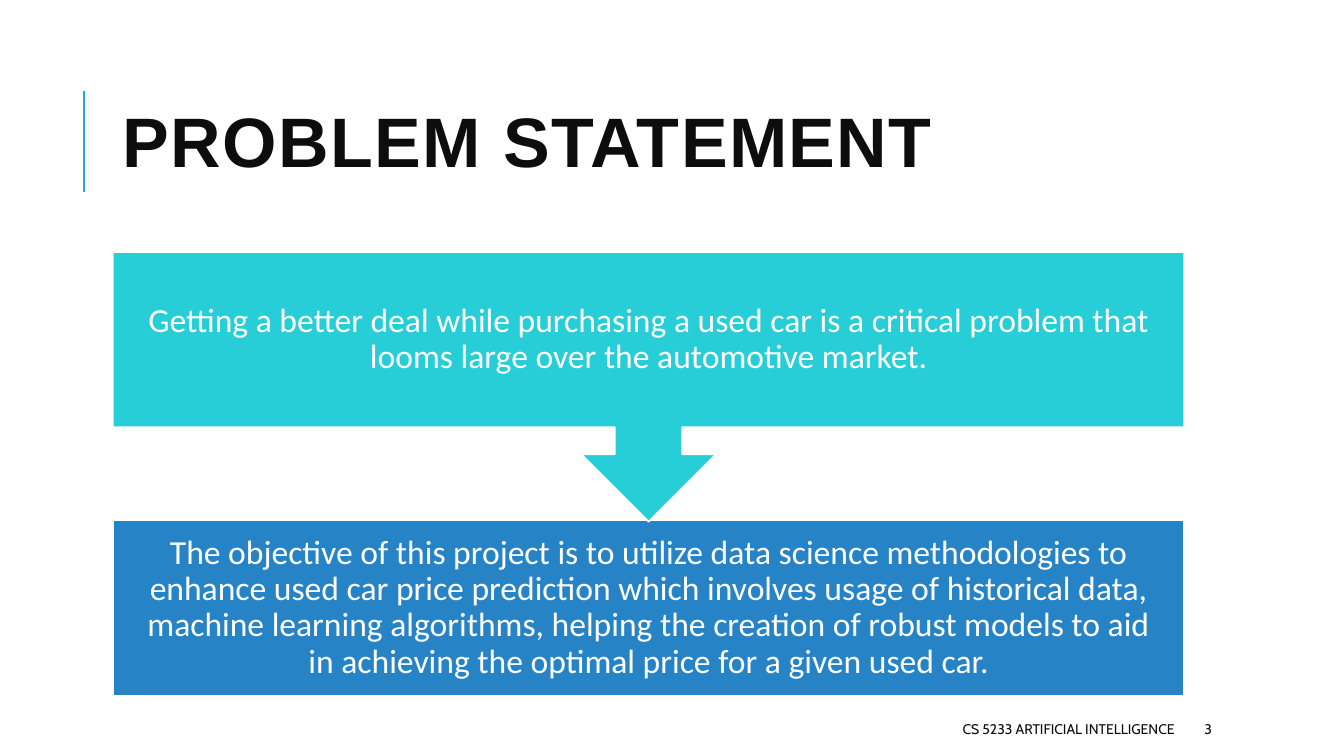
"""Build the Problem Statement slide: a callout leading to the project objective."""
from pptx import Presentation
from pptx.dml.color import RGBColor
from pptx.enum.shapes import MSO_CONNECTOR, MSO_SHAPE
from pptx.enum.text import MSO_ANCHOR, PP_ALIGN
from pptx.util import Pt
from lxml.etree import SubElement
from pptx.oxml.ns import qn

TITLE = "PROBLEM STATEMENT"
PROBLEM = ("Getting a better deal while purchasing a used car is a critical "
           "problem that looms large over the automotive market.")
OBJECTIVE = ("The objective of this project is to utilize data science methodologies "
             "to enhance used car price prediction which involves usage of historical "
             "data, machine learning algorithms, helping the creation of robust models "
             "to aid in achieving the optimal price for a given used car.")
FOOTER = "CS 5233 ARTIFICIAL INTELLIGENCE"
PAGE = "3"

INK = RGBColor(0x0D, 0x0D, 0x0D)
WHITE = RGBColor(0xFF, 0xFF, 0xFF)
ACCENT = RGBColor(0x1C, 0xAD, 0xE4)
TEAL = RGBColor(0x27, 0xCE, 0xD7)
BLUE = RGBColor(0x26, 0x83, 0xC6)

LEFT, WIDTH = 80.64, 765.36
RIGHT = LEFT + WIDTH
STEPS = [
    (MSO_SHAPE.RECTANGLE, 371.5, 125.3, BLUE, OBJECTIVE),
    (MSO_SHAPE.DOWN_ARROW_CALLOUT, 180, 192.7, TEAL, PROBLEM),
]
FOOTER_TOP, FOOTER_HEIGHT, FOOTER_WIDTH = 509.8, 21.6, 464.4
LABELS = [
    (PAGE, RIGHT + 7.2, FOOTER_TOP, 76.3, FOOTER_HEIGHT, "Cabin", 10, PP_ALIGN.LEFT),
    (FOOTER, RIGHT - FOOTER_WIDTH, FOOTER_TOP, FOOTER_WIDTH, FOOTER_HEIGHT,
     "Cabin", 10, PP_ALIGN.RIGHT),
]


def write(sp, text, font, size, color, align, spacing=1.0):
    tf = sp.text_frame
    tf.word_wrap = True
    tf.vertical_anchor = MSO_ANCHOR.MIDDLE
    p = tf.paragraphs[0]
    p.alignment = align
    p.line_spacing = spacing
    r = p.add_run()
    r.text = text
    r.font.name = font
    r.font.size = Pt(size)
    r.font.color.rgb = color
    return r


def add_label(s, text, left, top, width, height, font, size, align, spacing=1.0):
    sp = s.shapes.add_textbox(Pt(left), Pt(top), Pt(width), Pt(height))
    return write(sp, text, font, size, INK, align, spacing)


def add_step(s, kind, top, height, fill, text):
    sp = s.shapes.add_shape(kind, Pt(LEFT), Pt(top), Pt(WIDTH), Pt(height))
    sp.shadow.inherit = False
    sp.fill.solid()
    sp.fill.fore_color.rgb = fill
    sp.line.color.rgb = WHITE
    sp.line.width = Pt(1.25)
    tf = sp.text_frame
    tf.margin_left = tf.margin_right = tf.margin_top = tf.margin_bottom = Pt(13.65)
    write(sp, text, "Calibri", 24, WHITE, PP_ALIGN.CENTER, 0.9)


def add_accent(s):
    line = s.shapes.add_connector(MSO_CONNECTOR.STRAIGHT, Pt(60), Pt(137), Pt(60), Pt(65))
    line.line.color.rgb = ACCENT
    line.line.width = Pt(1.5)
    SubElement(line._element.spPr, qn("a:effectLst"))


def main():
    prs = Presentation()
    prs.slide_width, prs.slide_height = Pt(960), Pt(540)
    s = prs.slides.add_slide(prs.slide_layouts[6])
    add_accent(s)
    r = add_label(s, TITLE, LEFT, 46, WIDTH, 118, "Arial", 50, PP_ALIGN.LEFT, 0.8)
    r.font.bold = True
    r.font._element.set("spc", "100")
    for step in STEPS:
        add_step(s, *step)
    for label in LABELS:
        add_label(s, *label)
    prs.save("out.pptx")


if __name__ == "__main__":
    main()
